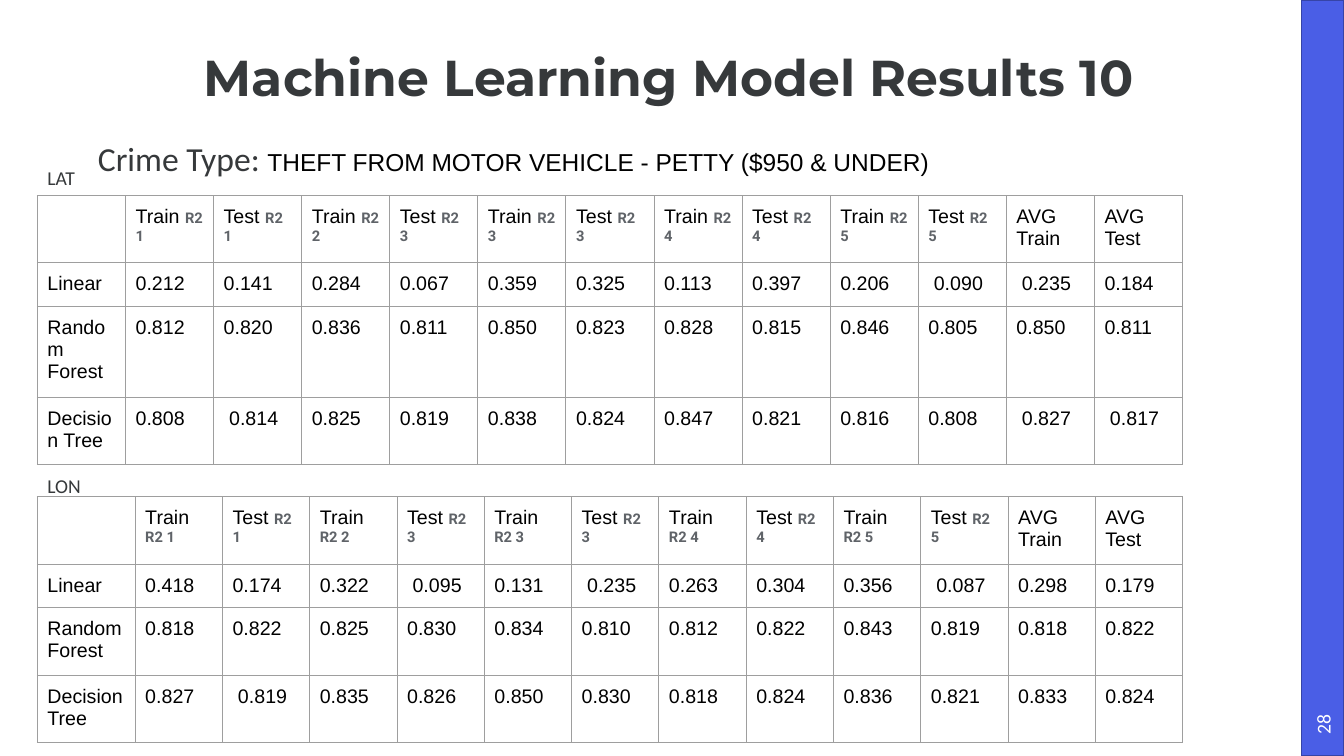
from lxml.etree import SubElement
from pptx import Presentation
from pptx.dml.color import RGBColor
from pptx.enum.shapes import MSO_SHAPE
from pptx.enum.text import MSO_ANCHOR, PP_ALIGN
from pptx.oxml.ns import qn
from pptx.util import Inches, Pt

RECT = MSO_SHAPE.RECTANGLE
TOP, MID = MSO_ANCHOR.TOP, MSO_ANCHOR.MIDDLE
LEFT, MIDDLE = PP_ALIGN.LEFT, PP_ALIGN.CENTER

COLORS = {"blue": "4A5EE6", "edge": "3644A7", "ink": "36393B", "black": "000000",
          "gray": "5F6368", "rule": "9E9E9E", "white": "FFFFFF"}

# Each style: font name, size, color, bold
FONTS = {
    "title": ("Montserrat", 36, "ink", True),
    "lead": ("Calibri", 24, "ink", False),
    "crime": ("Arial", 17.5, "black", False),
    "label": ("Calibri", 14, "ink", False),
    "page": ("Calibri", 14, "white", False),
    "cell": ("Arial", 14, "black", False),
    "score": ("Roboto", 10.5, "gray", True),
}

SIDES = ("left", "top", "right", "bottom")
PAD = Inches(0.1)


def color(key):
    return RGBColor.from_string(COLORS[key])


def apply(item, values):
    for name, value in values.items():
        setattr(item, name, value)


class Deck:
    """Lengths are percentages of the slide's width and height."""

    def __init__(self):
        self.prs = Presentation()
        apply(self.prs, {"slide_width": Inches(13.33), "slide_height": Inches(7.5)})
        self.slide = self.prs.slides.add_slide(self.prs.slide_layouts[6])

    def across(self, share):
        return round(self.prs.slide_width * share / 100)

    def down(self, share):
        return round(self.prs.slide_height * share / 100)

    def place(self, x, y, w, h):
        return self.across(x), self.down(y), self.across(w), self.down(h)

    def fill_in(self, para, runs):
        for text, style in runs:
            run = para.add_run()
            run.text = text
            name, size, ink, bold = FONTS[style]
            apply(run.font, {"name": name, "size": Pt(size), "bold": bold})
            run.font.color.rgb = color(ink)

    def bar(self, box, turn):
        shape = self.slide.shapes.add_shape(RECT, *self.place(*box))
        shape.rotation = turn
        shape.shadow.inherit = False
        shape.fill.solid()
        shape.fill.fore_color.rgb = color("blue")
        shape.line.color.rgb = color("edge")
        shape.line.width = Pt(1)

    def text(self, box, runs, pad=0, align=LEFT, anchor=TOP, space=1.0, turn=0):
        shape = self.slide.shapes.add_textbox(*self.place(*box))
        shape.rotation = turn
        frame = shape.text_frame
        apply(frame, {"word_wrap": True, "vertical_anchor": anchor})
        apply(frame, {f"margin_{side}": pad for side in SIDES})
        para = frame.paragraphs[0]
        apply(para, {"alignment": align, "line_spacing": space})
        self.fill_in(para, runs)

    def cell(self, cell, runs):
        apply(cell, {f"margin_{side}": PAD for side in SIDES})
        props = cell._tc.get_or_add_tcPr()
        for side in "LRTB":
            line = SubElement(props, qn(f"a:ln{side}"), w=str(Pt(0.75)))
            fill = SubElement(line, qn("a:solidFill"))
            SubElement(fill, qn("a:srgbClr"), val=COLORS["rule"])
        cell.fill.background()
        self.fill_in(cell.text_frame.paragraphs[0], runs)

    def table(self, x, y, w, first, high, rows):
        count = len(rows[0])
        frame = self.slide.shapes.add_table(
            len(rows), count, *self.place(x, y, w, high * len(rows)))
        table = frame.table
        apply(table, {"first_row": False, "horz_banding": False})
        for i, col in enumerate(table.columns):
            col.width = self.across(first if i == 0 else (w - first) / (count - 1))
        for i, row in enumerate(rows):
            table.rows[i].height = self.down(high)
            for j, runs in enumerate(row):
                self.cell(table.cell(i, j), runs)


# Header: train and test columns alternate, followed by the averages
FOLDS = "1123334455"
HEAD = [[]]
HEAD += [[(("Train ", "Test ")[i % 2], "cell"), (f"R2 {fold}", "score")]
         for i, fold in enumerate(FOLDS)]
HEAD += [[(f"AVG {kind}", "cell")] for kind in ("Train", "Test")]

# Label, label top, table top, first column, model scores
GROUPS = [
    ("LAT", 20.67, 25.87, 6.56, [
        "Linear|0.212|0.141|0.284|0.067|0.359|0.325|0.113|0.397|0.206| 0.090| 0.235|0.184",
        "Random Forest|0.812|0.820|0.836|0.811|0.850|0.823|0.828|0.815|0.846|0.805|0.850|0.811",
        "Decision Tree|0.808| 0.814|0.825|0.819|0.838|0.824|0.847|0.821|0.816|0.808| 0.827| 0.817",
    ]),
    ("LON", 61.33, 65.73, 7.28, [
        "Linear|0.418|0.174|0.322| 0.095|0.131| 0.235|0.263|0.304|0.356| 0.087|0.298|0.179",
        "Random Forest|0.818|0.822|0.825|0.830|0.834|0.810|0.812|0.822|0.843|0.819|0.818|0.822",
        "Decision Tree|0.827| 0.819|0.835|0.826|0.850|0.830|0.818|0.824|0.836|0.821|0.833|0.824",
    ]),
]


def main():
    deck = Deck()

    # Side bar and page number
    deck.bar((70.29, 47.2, 56.26, 5.6), 270)
    deck.text((96.1, 93.07, 4.65, 5.6), [("28", "page")],
              pad=Inches(0.05), align=MIDDLE, anchor=MID, turn=270)

    # Title and crime type
    deck.text((5.4, 5.87, 88.75, 9.47), [("Machine Learning Model Results 10", "title")],
              align=MIDDLE, anchor=MID, space=0.9)
    deck.text((7.28, 15.6, 83.05, 13.47),
              [("Crime Type: ", "lead"),
               ("THEFT FROM MOTOR VEHICLE - PETTY ($950 & UNDER)", "crime")], space=1.5)

    # Score tables with their labels
    for name, top, y, first, lines in GROUPS:
        deck.text((2.78, top, 28.51, 3.2), [(name, "label")], pad=PAD)
        rows = [[[(value, "cell")] for value in line.split("|")] for line in lines]
        deck.table(2.78, y, 85.22, first, 5.6, [HEAD] + rows)

    deck.prs.save("out.pptx")


if __name__ == "__main__":
    main()
